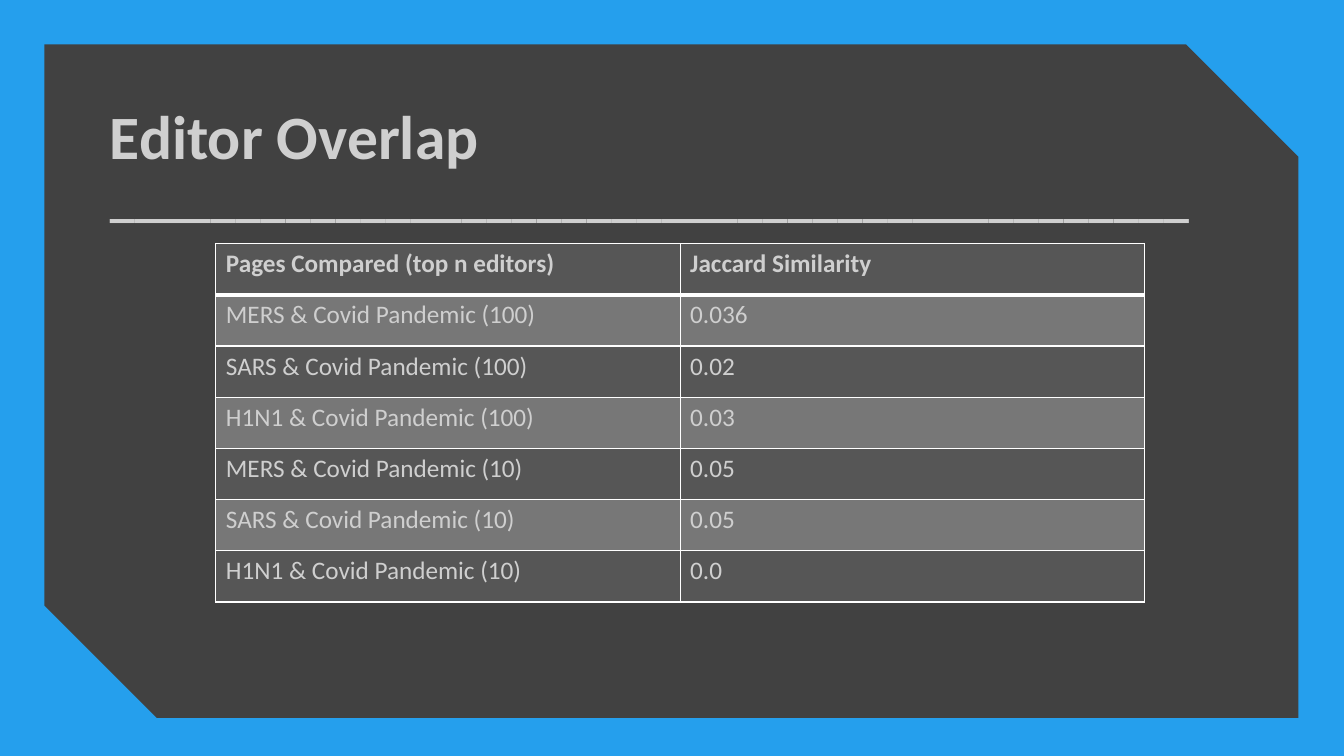
from lxml.etree import SubElement
from pptx import Presentation
from pptx.dml.color import RGBColor
from pptx.enum.shapes import MSO_SHAPE
from pptx.enum.text import MSO_ANCHOR, MSO_AUTO_SIZE, PP_ALIGN
from pptx.oxml.ns import qn
from pptx.util import Cm, Pt

COLORS = {
    "background": "259FED",
    "panel": "414141",
    "text": "CFCFCF",
    "dark row": "565656",
    "light row": "777777",
    "border": "FFFFFF",
}
ROWS = [
    ("Pages Compared (top n editors)", "Jaccard Similarity"),
    ("MERS & Covid Pandemic (100)", "0.036"),
    ("SARS & Covid Pandemic (100)", "0.02"),
    ("H1N1 & Covid Pandemic (100)", "0.03"),
    ("MERS & Covid Pandemic (10)", "0.05"),
    ("SARS & Covid Pandemic (10)", "0.05"),
    ("H1N1 & Covid Pandemic (10)", "0.0"),
]


def write_text(paragraph, text, size=18, bold=False, line_spacing=None):
    paragraph.alignment = PP_ALIGN.LEFT
    paragraph.line_spacing = line_spacing
    run = paragraph.add_run()
    run.text = text
    run.font.name = "Calibri"
    run.font.size = Pt(size)
    run.font.bold = bold
    run.font.color.rgb = RGBColor.from_string(COLORS["text"])


def set_cell_borders(cell, widths):
    """Draw the borders; widths maps an edge (L, R, T, B) to points."""
    properties = cell._tc.get_or_add_tcPr()
    for edge, width in widths.items():
        line = SubElement(properties, qn(f"a:ln{edge}"), w=str(Pt(width)))
        fill = SubElement(line, qn("a:solidFill"))
        SubElement(fill, qn("a:srgbClr"), val=COLORS["border"])


presentation = Presentation()
presentation.slide_width = Cm(33.87)
presentation.slide_height = Cm(19.05)
slide = presentation.slides.add_slide(presentation.slide_layouts[5])
slide.background.fill.solid()
slide.background.fill.fore_color.rgb = RGBColor.from_string(COLORS["background"])

# Panel behind the title
panel = slide.shapes.add_shape(
    MSO_SHAPE.SNIP_2_DIAG_RECTANGLE, Cm(1.12), Cm(1.12), Cm(31.6), Cm(16.97)
)
panel.shadow.inherit = False
panel.fill.solid()
panel.fill.fore_color.rgb = RGBColor.from_string(COLORS["panel"])
panel.line.fill.background()

# Title with its underscore rule
title = slide.shapes.title
title.element.addprevious(panel.element)
title.left, title.top, title.width, title.height = Cm(2.77), Cm(2.69), Cm(28.4), Cm(3.1)
frame = title.text_frame
frame.word_wrap = True
frame.auto_size = MSO_AUTO_SIZE.NONE
frame.vertical_anchor = MSO_ANCHOR.TOP
frame.margin_left = frame.margin_right = frame.margin_top = frame.margin_bottom = 0
write_text(frame.paragraphs[0], "Editor Overlap", size=44, bold=True, line_spacing=0.9)
write_text(frame.add_paragraph(), "_" * 43, size=36, bold=True, line_spacing=0.9)

# Similarity table
table = slide.shapes.add_table(
    len(ROWS), 2, Cm(5.44), Cm(6.14), Cm(23.4), Cm(1.29 * len(ROWS))
).table
for row_index, row in enumerate(ROWS):
    table.rows[row_index].height = Cm(1.29)
    row_color = COLORS["light row" if row_index % 2 else "dark row"]
    top_width = 3 if row_index == 1 else 1
    bottom_width = 3 if row_index == 0 else 1
    for column_index, text in enumerate(row):
        cell = table.cell(row_index, column_index)
        write_text(cell.text_frame.paragraphs[0], text, bold=row_index == 0)
        set_cell_borders(cell, {"L": 1, "R": 1, "T": top_width, "B": bottom_width})
        cell.fill.solid()
        cell.fill.fore_color.rgb = RGBColor.from_string(row_color)

presentation.save("out.pptx")
